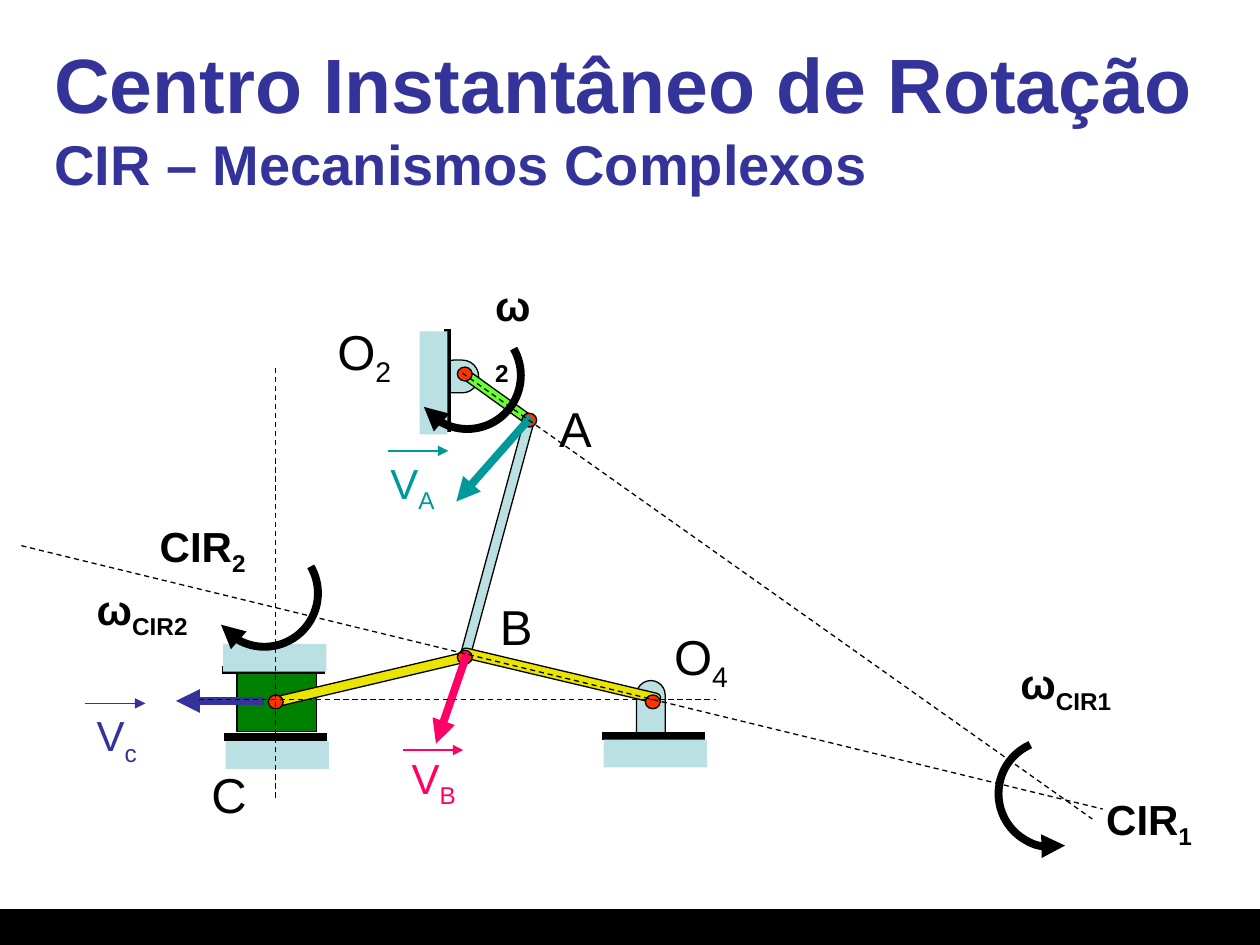
from math import atan2, degrees, hypot
from pptx import Presentation
from pptx.dml.color import RGBColor
from pptx.enum.dml import MSO_LINE
from pptx.enum.shapes import MSO_CONNECTOR, MSO_SHAPE
from pptx.enum.text import MSO_ANCHOR, MSO_AUTO_SIZE, PP_ALIGN
from pptx.oxml.ns import qn
from pptx.util import Cm, Pt
from lxml.etree import SubElement

BLACK, STEEL, YELLOW, RED = "000000", "BBE0E3", "E9E400", "FF3300"
GREEN, LIME, TEAL, PINK, NAVY = "008000", "66FF33", "009999", "FF0066", "333399"
HEAVY, THIN = 4.5, 0.75

deck = Presentation()
deck.slide_width, deck.slide_height = Cm(25.4), Cm(19.05)
slide = deck.slides.add_slide(deck.slide_layouts[5])
shapes = slide.shapes


def color(code):
    return RGBColor.from_string(code)


def tip(line, end):
    SubElement(line._get_or_add_ln(), qn("a:" + end), type="triangle")


def solid(kind, box, x, y, w, h, fill, edge=True):
    item = shapes.add_shape(kind, Cm(box[0] + x), Cm(box[1] + y), Cm(w), Cm(h))
    item.shadow.inherit = False
    item.fill.solid()
    item.fill.fore_color.rgb = color(fill)
    if edge:
        item.line.color.rgb = color(BLACK)
        item.line.width = Pt(THIN)
    else:
        item.line.fill.background()
    return item


def pill(box, x, y, w, h, fill):
    item = solid(MSO_SHAPE.ROUNDED_RECTANGLE, box, x, y, w, h, fill)
    item.adjustments[0] = 0.5
    return item


def stroke(box, start, end, code=BLACK, width=THIN, arrow=False, dash=False):
    item = shapes.add_connector(
        MSO_CONNECTOR.STRAIGHT,
        Cm(box[0] + start[0]), Cm(box[1] + start[1]),
        Cm(box[0] + end[0]), Cm(box[1] + end[1]))
    item.line.color.rgb = color(code)
    item.line.width = Pt(width)
    if dash:
        item.line.dash_style = MSO_LINE.DASH
    if arrow:
        tip(item.line, "tailEnd")
    SubElement(item._element.spPr, qn("a:effectLst"))


def label(box, x, y, w, text, sub="", size=28, code=BLACK, bold=False, wrap=False):
    item = shapes.add_textbox(Cm(box[0] + x), Cm(box[1] + y), Cm(w), Cm(size * 0.052))
    item.text_frame.word_wrap = wrap
    para = item.text_frame.paragraphs[0]
    para.font.name, para.font.size, para.font.bold = "Arial", Pt(size), bold
    para.font.color.rgb = color(code)
    para.add_run().text = text
    if sub:
        run = para.add_run()
        run.text = sub
        run._r.get_or_add_rPr().set("baseline", "-25000")


def pin(box):
    solid(MSO_SHAPE.OVAL, box, -0.15, -0.14, 0.3, 0.28, RED)


def link(start, end, fill):
    dx, dy = end[0] - start[0], end[1] - start[1]
    size = hypot(dx, dy) + 0.24
    mid = (start[0] + dx / 2, start[1] + dy / 2)
    pill(mid, -size / 2, -0.1, size, 0.2, fill).rotation = degrees(atan2(dy, dx))


def ground(box, x, y, gap=0.08):
    stroke(box, (x, y), (x + 2.08, y), width=HEAVY)
    solid(MSO_SHAPE.RECTANGLE, box, x + 0.03, y + gap, 2.08, 0.56, STEEL, False)


def title(box):
    item = shapes.title
    item.left, item.top, item.width, item.height = map(Cm, box)
    frame = item.text_frame
    frame.auto_size, frame.word_wrap = MSO_AUTO_SIZE.NONE, True
    frame.vertical_anchor = MSO_ANCHOR.MIDDLE
    para = frame.paragraphs[0]
    para.alignment = PP_ALIGN.LEFT
    para.font.name, para.font.bold = "Arial", True
    para.font.color.rgb = color(NAVY)
    head = para.add_run()
    head.text, head.font.size = "Centro Instantâneo de Rotação", Pt(44)
    para.add_line_break()
    tail = para.add_run()
    tail.text, tail.font.size = "CIR – Mecanismos Complexos", Pt(32)


def slider(box, end):
    solid(MSO_SHAPE.RECTANGLE, box, -0.78, -0.59, 1.6, 1.19, GREEN)
    link(box, end, YELLOW)
    pin(box)
    ground(box, -1.04, 0.71)
    ground(box, -1.09, -0.64, -0.53)
    label(box, -1.55, 1.14, 1.22, "C")


def crank(box, end):
    pill(box, -0.56, -0.28, 0.84, 0.66, STEEL)
    link(box, end, LIME)
    stroke(box, (-0.35, -0.91), (-0.35, 1.17), width=HEAVY)
    solid(MSO_SHAPE.RECTANGLE, box, -0.91, -0.86, 0.56, 2.08, STEEL, False)
    pin(box)
    label(box, -2.82, -1.19, 1.65, "O", "2")


def rocker(box, end):
    pill(box, -0.33, -0.43, 0.58, 1.65, STEEL)
    ground(box, -1.02, 0.68)
    link((end[0] + 0.04, end[1] - 0.08), (box[0] + 0.04, box[1] - 0.08), YELLOW)
    pin(box)
    label(box, 0.18, -1.65, 1.65, "O", "4")


def joint(box, x, y, name):
    pin(box)
    label(box, x, y, 1.17, name)


def speed(box, start, end, text, over, sub, code):
    stroke(box, start, end, code, HEAVY, True)
    label(box, *text, 1.4, "V", sub, 24, code)
    stroke(box, over, (over[0] + 1.21, over[1]), code, arrow=True)


def turn(box, start, end, arrow, names):
    rad = 1.08
    arc = shapes.add_shape(MSO_SHAPE.ARC, Cm(box[0] - rad), Cm(box[1] - rad),
                           Cm(2 * rad), Cm(2 * rad))
    arc.shadow.inherit = False
    arc.fill.background()
    arc.adjustments[0], arc.adjustments[1] = start * 0.6, end * 0.6
    arc.line.color.rgb = color(BLACK)
    arc.line.width = Pt(HEAVY)
    tip(arc.line, arrow)
    for x, y, w, text, sub in names:
        label(box, x, y, w, text, sub, 24, bold=True, wrap=w < 2)


def rays(box):
    for start, end in (((4.01, 14.1), (14.43, 14.1)),
                       ((0.43, 11), (22.23, 16.31)),
                       ((9.32, 7.52), (22.02, 16.51)),
                       ((5.56, 7.42), (5.56, 16.08))):
        stroke(box, start, end, dash=True)


def main():
    a, b, c = (10.67, 8.47), (9.37, 13.25), (5.56, 14.15)
    top, right = (9.37, 7.54), (13.16, 14.15)
    solid(MSO_SHAPE.RECTANGLE, (0, 18.34), 0, 0, 25.4, 0.71, BLACK)
    title((0.84, 0.76, 23.7, 3.18))
    slider(c, b)
    link(a, b, STEEL)
    crank(top, a)
    rocker(right, b)
    joint(a, 0.35, -0.57, "A")
    joint(b, 0.46, -1.34, "B")
    turn((9.42, 7.57), 330, 144, "tailEnd", [(0.31, -2.06, 1.4, "ω", "2")])
    speed(a, (0.03, -0.06), (-1.47, 1.64), (-3.05, 0.62), (-2.84, 0.62), "A", TEAL)
    speed(b, (0.05, -0.09), (-0.58, 1.74), (-1.32, 1.79), (-1.24, 1.87), "B", PINK)
    speed(c, (-0.23, -0.02), (-2.01, -0.02), (-3.86, 0.03), (-3.84, 0.03), "c", NAVY)
    rays((0, 0))
    turn((21.21, 16), 76, 246, "headEnd",
         [(0.84, -0.13, 2.29, "CIR", "1"), (-0.89, -2.87, 2.39, "ω", "CIR1")])
    turn((5.33, 11.96), 330, 144, "tailEnd",
         [(-2.36, -1.6, 2.29, "CIR", "2"), (-3.63, -0.33, 2.39, "ω", "CIR2")])
    deck.save("out.pptx")


if __name__ == "__main__":
    main()
